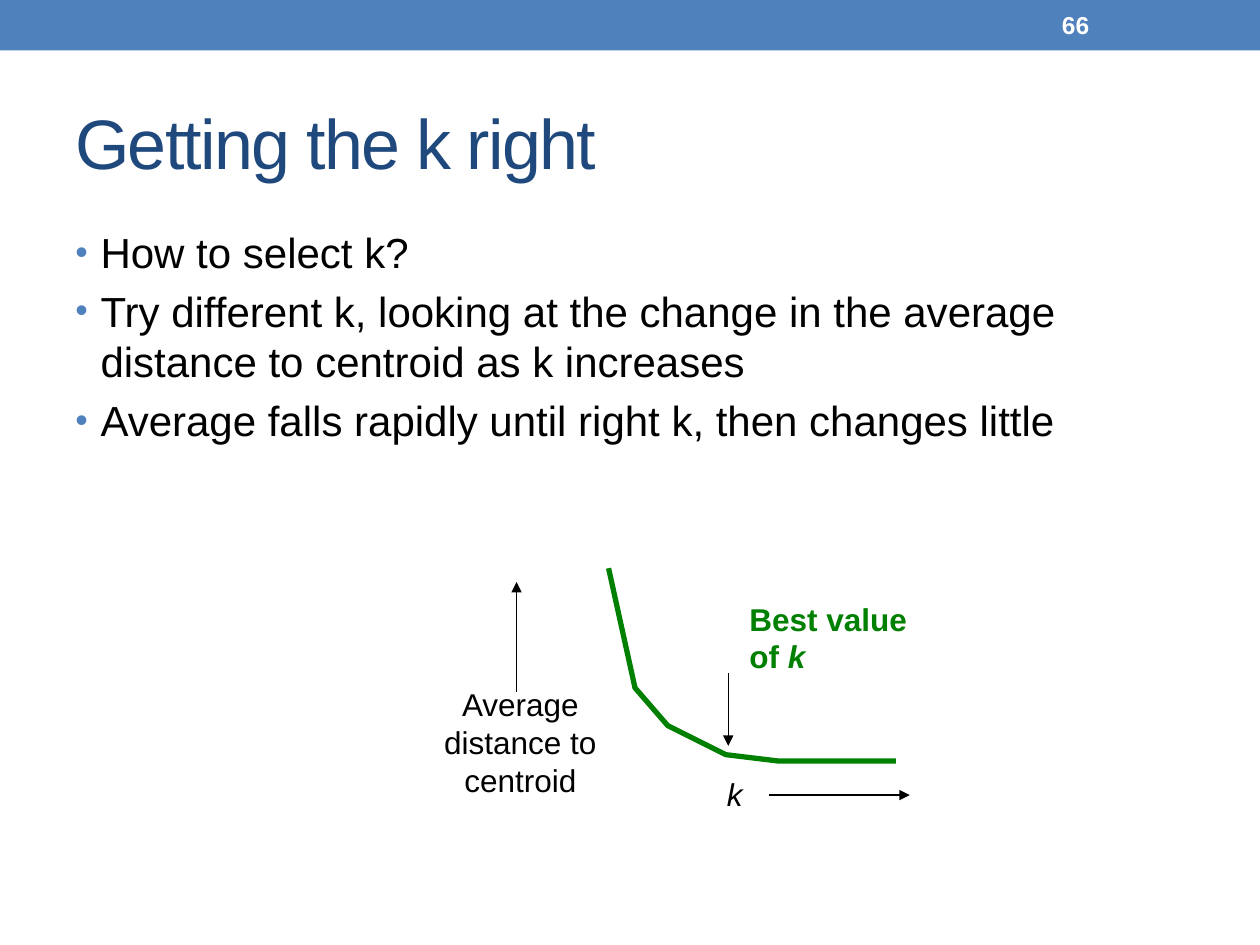
from lxml import etree
from pptx import Presentation
from pptx.dml.color import RGBColor
from pptx.enum.shapes import MSO_CONNECTOR, MSO_SHAPE
from pptx.enum.text import MSO_ANCHOR, PP_ALIGN
from pptx.oxml.ns import qn
from pptx.util import Inches, Pt

RECT, STRAIGHT = MSO_SHAPE.RECTANGLE, MSO_CONNECTOR.STRAIGHT
TOP, MIDDLE = MSO_ANCHOR.TOP, MSO_ANCHOR.MIDDLE
LEFT, CENTER = PP_ALIGN.LEFT, PP_ALIGN.CENTER
COLORS = {"bar": "4F81BD", "title": "1F497D", "text": "000000",
          "curve": "008000", "number": "FFFFFF"}


def rgb(name):
    return RGBColor.from_string(COLORS[name])


def add_text(box, lines, color, fmt, anchor=TOP, align=LEFT, wrap=True):
    tf = s.shapes.add_textbox(*map(Inches, box)).text_frame
    tf.word_wrap = wrap
    tf.vertical_anchor = anchor
    for i, line in enumerate(lines):
        p = tf.paragraphs[0] if i == 0 else tf.add_paragraph()
        p.alignment = align
        for text, extra in line:
            r = p.add_run()
            r.text = text
            r.font.color.rgb = rgb(color)
            for key, value in {"name": "Arial", **fmt, **extra}.items():
                setattr(r.font, key, value)
    return tf


prs = Presentation()
prs.slide_width, prs.slide_height = Inches(10), Inches(7.5)
s = prs.slides.add_slide(prs.slide_layouts[6])

bar = s.shapes.add_shape(RECT, 0, 0, Inches(10), Inches(0.4))
bar.shadow.inherit = False
bar.fill.solid()
bar.fill.fore_color.rgb = rgb("bar")
bar.line.fill.background()

title = add_text((0.5, 0.58, 9, 1.08), [[("Getting the k right", {})]],
                 "title", {"size": Pt(40)}, MIDDLE)
title.paragraphs[0].runs[0].font._element.set("spc", "-100")

bullets = ["How to select k?",
           "Try different k, looking at the change in the average "
           "distance to centroid as k increases",
           "Average falls rapidly until right k, then changes little"]
body = add_text((0.5, 1.75, 9, 5.33), [[(text, {})] for text in bullets],
                "text", {"size": Pt(24)})
for p in body.paragraphs:
    p.space_before = Pt(4.8)
    pPr = p._p.get_or_add_pPr()
    pPr.set("marL", str(Inches(0.2)))
    pPr.set("indent", str(-Inches(0.2)))
    color = etree.SubElement(pPr, qn("a:buClr"))
    etree.SubElement(color, qn("a:srgbClr"), val=COLORS["bar"])
    etree.SubElement(pPr, qn("a:buSzPct"), val="85000")
    etree.SubElement(pPr, qn("a:buFont"), typeface="Arial")
    etree.SubElement(pPr, qn("a:buChar"), char="•")

add_text((8.33, 0.02, 1.17, 0.36), [[("66", {})]], "number",
         {"size": Pt(14), "bold": True}, MIDDLE)

label = {"size": Pt(18)}
add_text((5.67, 6.1, 0.33, 0.4), [[("k", {"italic": True})]], "text", label,
         wrap=False)
add_text((3.42, 5.39, 1.42, 1.01),
         [[(text, {})] for text in ("Average", "distance to", "centroid")],
         "text", label, align=CENTER, wrap=False)
add_text((5.85, 4.71, 1.46, 0.71),
         [[("Best value", {})], [("of ", {}), ("k", {"italic": True})]],
         "curve", {**label, "bold": True}, wrap=False)

arrows = [(4.1, 5.49, 4.1, 4.62), (6.1, 6.31, 7.22, 6.31),
          (5.78, 5.34, 5.78, 5.92)]
for ends in arrows:
    arrow = s.shapes.add_connector(STRAIGHT, *map(Inches, ends))
    arrow.line.color.rgb = rgb("text")
    arrow.line.width = Pt(0.75)
    etree.SubElement(arrow.line._get_or_add_ln(), qn("a:tailEnd"), type="triangle")
    etree.SubElement(arrow._element.spPr, qn("a:effectLst"))

points = [(4.83, 4.51), (5.04, 5.46), (5.3, 5.76), (5.76, 5.99),
          (6.17, 6.04), (6.77, 6.04), (7.11, 6.04)]
start, *rest = [(Inches(x), Inches(y)) for x, y in points]
builder = s.shapes.build_freeform(*start)
builder.add_line_segments(rest, close=False)
curve = builder.convert_to_shape()
curve.shadow.inherit = False
curve.fill.background()
curve.line.color.rgb = rgb("curve")
curve.line.width = Pt(3)

prs.save("out.pptx")
